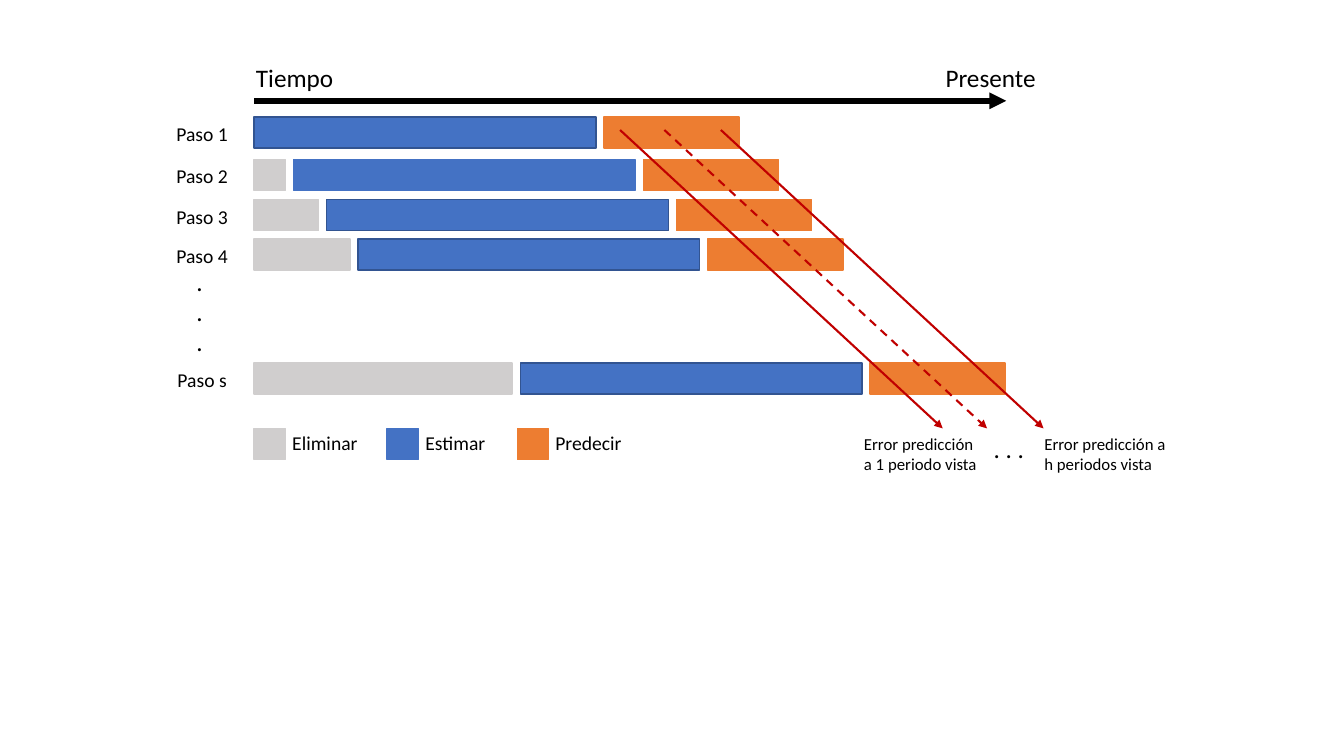
from dataclasses import dataclass

from lxml import etree
from pptx import Presentation
from pptx.dml.color import RGBColor
from pptx.enum.dml import MSO_LINE
from pptx.enum.shapes import MSO_CONNECTOR, MSO_SHAPE
from pptx.enum.text import MSO_AUTO_SIZE, PP_ALIGN
from pptx.oxml.ns import qn
from pptx.util import Inches, Pt

RECT = MSO_SHAPE.RECTANGLE
STRAIGHT = MSO_CONNECTOR.STRAIGHT
DASH = MSO_LINE.DASH
GROW = MSO_AUTO_SIZE.SHAPE_TO_FIT_TEXT
LEFT, CENTER = PP_ALIGN.LEFT, PP_ALIGN.CENTER


@dataclass(frozen=True)
class Theme:
    font: str = "Calibri"
    ink: str = "000000"
    drop: str = "D0CECE"
    fit: str = "4472C4"
    edge: str = "325491"
    cast: str = "ED7D31"
    error: str = "C00000"
    large: int = 18
    normal: int = 14
    small: int = 12


def apply(target, values):
    for name, value in values.items():
        setattr(target, name, value)


class Canvas:
    def __init__(self, slide, theme):
        self.shapes = slide.shapes
        self.theme = theme

    def bar(self, left, top, width, color, edge=None):
        box = self.shapes.add_shape(
            RECT, Inches(left), Inches(top), Inches(width), Inches(SIDE))
        box.shadow.inherit = False
        box.fill.solid()
        box.fill.fore_color.rgb = RGBColor.from_string(color)
        box.line.color.rgb = RGBColor.from_string(edge or color)
        box.line.width = Pt(1)

    def text(self, words, left, top, width, height, size, align=LEFT):
        box = self.shapes.add_textbox(
            Inches(left), Inches(top), Inches(width), Inches(height))
        frame = box.text_frame
        frame.text = words
        apply(frame, {"word_wrap": True, "auto_size": GROW})
        for line in frame.paragraphs:
            line.alignment = align
            apply(line.runs[0].font, {"name": self.theme.font, "size": Pt(size)})
            line.runs[0].font.color.rgb = RGBColor.from_string(self.theme.ink)

    def arrow(self, start, end, color, width, dash=None):
        link = self.shapes.add_connector(
            STRAIGHT, *(Inches(value) for value in (*start, *end)))
        link.line.color.rgb = RGBColor.from_string(color)
        apply(link.line, {"width": Pt(width), "dash_style": dash})
        outline = link.line._get_or_add_ln()
        etree.SubElement(outline, qn("a:tailEnd"), type="triangle")
        etree.SubElement(link._element.spPr, qn("a:effectLst"))


ORIGIN = 2.52
SIDE = 0.31
GAP = 0.08
FIT_WIDTH = 3.39
CAST_WIDTH = 1.34
LEGEND_TOP = 4.25


def draw_steps(canvas):
    theme = canvas.theme
    steps = [("1", 1.16, 2.52, theme.edge), ("2", 1.58, 2.91, theme.fit),
             ("3", 1.98, 3.24, theme.edge), ("4", 2.37, 3.55, theme.edge),
             ("s", 3.6, 5.16, theme.edge)]
    for name, top, start, edge in steps:
        if start > ORIGIN:
            canvas.bar(ORIGIN, top, start - ORIGIN - GAP, theme.drop)
        canvas.bar(start, top, FIT_WIDTH, theme.fit, edge)
        canvas.bar(start + FIT_WIDTH + GAP, top, CAST_WIDTH, theme.cast)
        canvas.text(f"Paso {name}", 1.57, top, 0.87, 0.34, theme.normal, CENTER)
    canvas.text(".\n.\n.", 1.85, 2.59, 0.54, 1.01, theme.large)


def draw_legend(canvas):
    theme = canvas.theme
    for name, left, color in [("Eliminar", ORIGIN, theme.drop),
                              ("Estimar", 3.84, theme.fit),
                              ("Predecir", 5.13, theme.cast)]:
        canvas.bar(left, LEGEND_TOP, SIDE, color)
        canvas.text(name, left + 0.28, 4.23, 0.98, 0.34, theme.normal)


def draw_errors(canvas):
    theme = canvas.theme
    for left, dash in [(6.15, None), (7.15, None), (6.59, DASH)]:
        canvas.arrow((left, 1.29), (left + 3.2, LEGEND_TOP), theme.error, 1.5, dash)
    canvas.text("Error predicción a 1 periodo vista",
                8.47, LEGEND_TOP, 1.38, 0.5, theme.small)
    canvas.text("Error predicción a h periodos vista",
                10.26, LEGEND_TOP, 1.46, 0.5, theme.small)
    canvas.text(". . .", 9.5, LEGEND_TOP, 1.01, 0.4, theme.large, CENTER)


def draw_time(canvas):
    theme = canvas.theme
    canvas.arrow((ORIGIN, 1), (9.98, 1), theme.ink, 4)
    canvas.text("Tiempo", 2.44, 0.57, 1.85, 0.4, theme.large)
    canvas.text("Presente", 9.28, 0.57, 1.23, 0.4, theme.large)


def main():
    deck = Presentation()
    apply(deck, {"slide_width": Inches(13.33), "slide_height": Inches(7.5)})
    canvas = Canvas(deck.slides.add_slide(deck.slide_layouts[6]), Theme())
    for draw in (draw_steps, draw_legend, draw_errors, draw_time):
        draw(canvas)
    deck.save("out.pptx")


if __name__ == "__main__":
    main()
